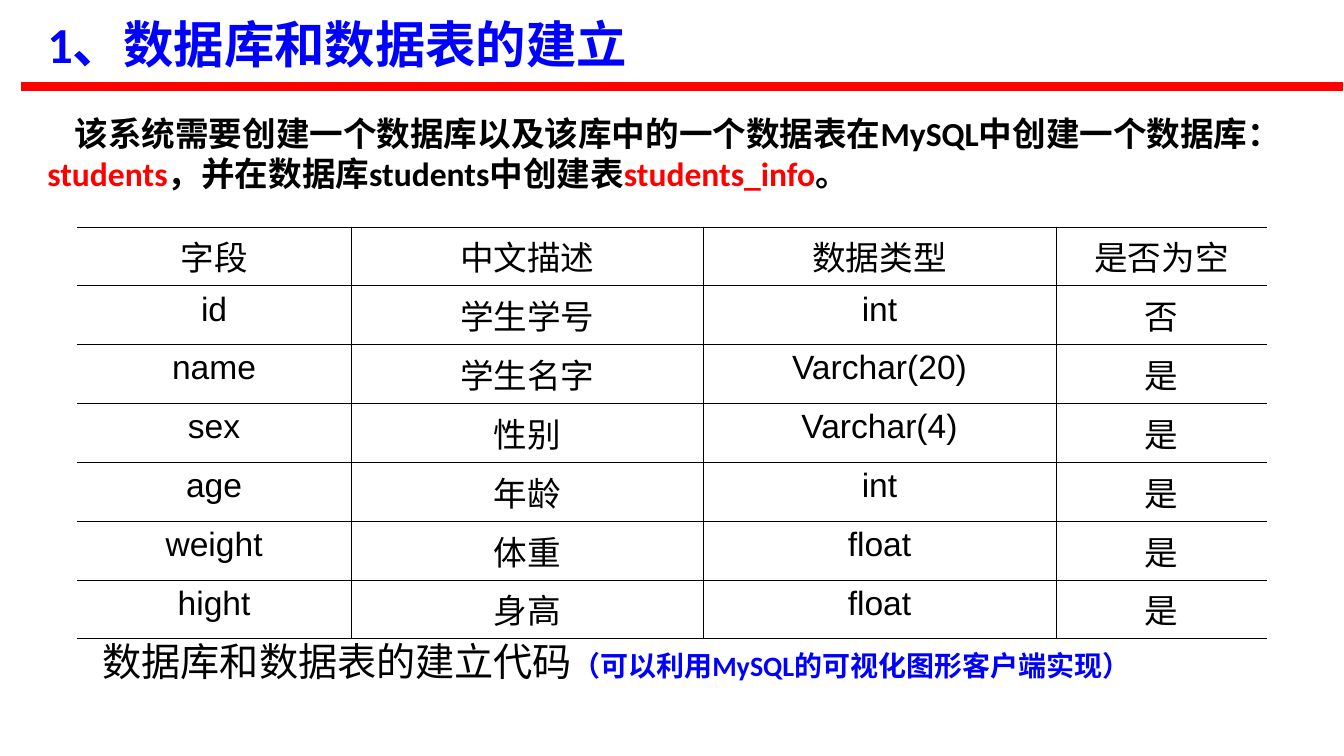
from lxml import etree
from pptx import Presentation, util as u
from pptx.dml.color import RGBColor
from pptx.enum import shapes, text
from pptx.oxml import ns

EMU_PER_PX = 9144  # 100 px to the inch
COLORS = {"black": "000000", "blue": "0000FF", "red": "FF0000"}

TITLE = {"size": 36, "bold": True, "color": "blue"}
STRONG = {"size": 24, "bold": True}
KEYWORD = {"size": 24, "bold": True, "color": "red"}
CELL = {"size": 24, "name": "Arial"}
CAPTION = {"size": 28}
HINT = {"size": 20, "bold": True, "color": "blue"}

INTRO = [
    ("该系统需要创建一个数据库以及该库中的一个数据表在MySQL中创建一个数据库：", STRONG),
    ("students", KEYWORD),
    ("，并在数据库students中创建表", STRONG),
    ("students_info", KEYWORD),
    ("。", STRONG),
]
FIELDS = [
    ("字段", "中文描述", "数据类型", "是否为空"),
    ("id", "学生学号", "int", "否"),
    ("name", "学生名字", "Varchar(20)", "是"),
    ("sex", "性别", "Varchar(4)", "是"),
    ("age", "年龄", "int", "是"),
    ("weight", "体重", "float", "是"),
    ("hight", "身高", "float", "是"),
]
COLUMN_WIDTHS = [273, 349, 350, 210]
ROW_HEIGHT = 51


def px(length):
    return u.Emu(length * EMU_PER_PX)


def rgb(name):
    return RGBColor.from_string(COLORS[name])


def place(shape, *box):
    for side, length in zip(("left", "top", "width", "height"), box):
        setattr(shape, side, px(length))


def write(paragraph, runs):
    """Fill a paragraph with (wording, format) runs."""
    for wording, style in runs:
        run = paragraph.add_run()
        run.text = wording
        values = {"name": "Calibri", "bold": False, "color": "black"} | style
        run.font.color.rgb = rgb(values.pop("color"))
        values["size"] = u.Pt(values["size"])
        for attribute, value in values.items():
            setattr(run.font, attribute, value)


def add_title(slide):
    title = slide.shapes.title
    place(title, 37, 1, 900, 85)
    title.text_frame.vertical_anchor = text.MSO_ANCHOR.MIDDLE
    title.text_frame.auto_size = text.MSO_AUTO_SIZE.NONE
    paragraph = title.text_frame.paragraphs[0]
    paragraph.alignment = text.PP_ALIGN.LEFT
    write(paragraph, [("1、数据库和数据表的建立", TITLE)])


def add_intro(slide):
    intro = slide.placeholders[1]
    place(intro, 37, 107, 1284, 181)
    intro.text_frame.auto_size = text.MSO_AUTO_SIZE.NONE
    paragraph = intro.text_frame.paragraphs[0]
    properties = paragraph._p.get_or_add_pPr()
    properties.set("marL", "0")
    properties.set("indent", str(px(27)))
    etree.SubElement(properties, ns.qn("a:buNone"))
    paragraph.space_before = u.Pt(0)
    write(paragraph, INTRO)


def set_borders(cell, open_side):
    """Draw thin lines round a cell, leaving out the open side."""
    properties = cell._tc.get_or_add_tcPr()
    for position, side in enumerate(("lnL", "lnR", "lnT", "lnB")):
        line = etree.Element(ns.qn(f"a:{side}"), w=str(u.Pt(0.45)))
        if side == open_side:
            etree.SubElement(line, ns.qn("a:noFill"))
        else:
            fill = etree.SubElement(line, ns.qn("a:solidFill"))
            etree.SubElement(fill, ns.qn("a:srgbClr"), val=COLORS["black"])
        properties.insert(position, line)


def add_fields_table(slide):
    box = (76, 225, sum(COLUMN_WIDTHS), ROW_HEIGHT * len(FIELDS))
    table = slide.shapes.add_table(
        len(FIELDS), len(COLUMN_WIDTHS), *map(px, box)).table
    table.first_row = table.horz_banding = False
    for column, width in zip(table.columns, COLUMN_WIDTHS):
        column.width = px(width)
    open_sides = {0: "lnL", len(COLUMN_WIDTHS) - 1: "lnR"}
    for row, field in enumerate(FIELDS):
        table.rows[row].height = px(ROW_HEIGHT)
        for column, wording in enumerate(field):
            cell = table.cell(row, column)
            cell.fill.background()
            cell.margin_left = cell.margin_right = px(8)
            cell.margin_top = cell.margin_bottom = px(5)
            paragraph = cell.text_frame.paragraphs[0]
            paragraph.alignment = text.PP_ALIGN.CENTER
            paragraph.space_after = u.Pt(1)
            write(paragraph, [(wording, CELL)])
            set_borders(cell, open_sides.get(column))


def add_caption(slide):
    caption = slide.shapes.add_textbox(*map(px, (92, 627, 1173, 57)))
    caption.text_frame.word_wrap = True
    write(caption.text_frame.paragraphs[0], [
        ("数据库和数据表的建立代码", CAPTION),
        ("（可以利用MySQL的可视化图形客户端实现）", HINT),
    ])


def add_title_rule(slide):
    rule = slide.shapes.add_connector(
        shapes.MSO_CONNECTOR.STRAIGHT, *map(px, (21, 86, 1333, 86)))
    rule.line.color.rgb = rgb("red")
    rule.line.width = u.Pt(6)
    etree.SubElement(rule._element.spPr, ns.qn("a:effectLst"))


def main():
    deck = Presentation()
    deck.slide_width, deck.slide_height = px(1334), px(750)
    slide = deck.slides.add_slide(deck.slide_layouts[1])
    add_title(slide)
    add_intro(slide)
    add_fields_table(slide)
    add_caption(slide)
    add_title_rule(slide)
    deck.save("out.pptx")


if __name__ == "__main__":
    main()
